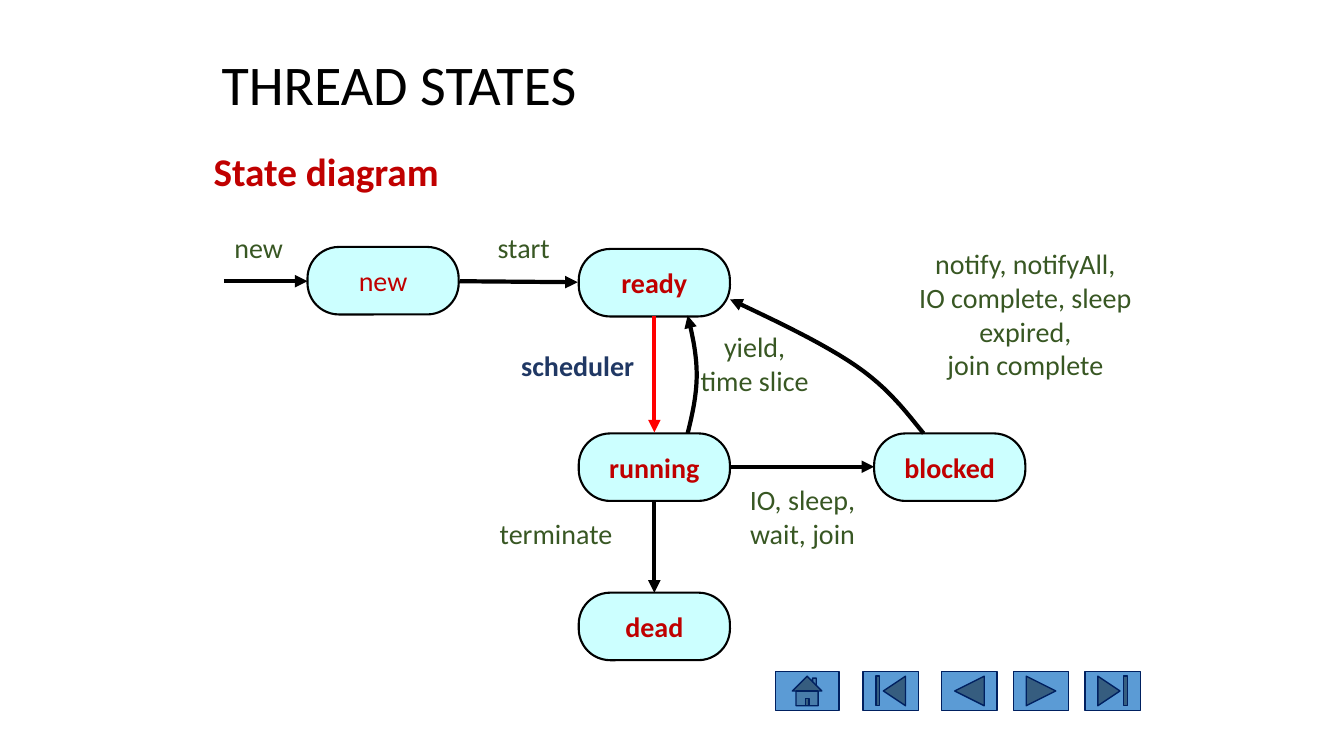
from pptx import Presentation
from pptx.dml.color import RGBColor
from pptx.enum.shapes import MSO_CONNECTOR, MSO_SHAPE
from pptx.enum.text import MSO_ANCHOR, PP_ALIGN
from pptx.oxml.ns import qn
from pptx.util import Inches, Pt
from lxml import etree

STRAIGHT = MSO_CONNECTOR.STRAIGHT
ROUND = MSO_SHAPE.ROUNDED_RECTANGLE
MIDDLE, TOP = MSO_ANCHOR.MIDDLE, MSO_ANCHOR.TOP
CENTER, LEFT = PP_ALIGN.CENTER, PP_ALIGN.LEFT
FONT = "Calibri"

COLORS = {
    "black": "000000", "red": "FF0000", "state": "C00000", "label": "385723",
    "navy": "203864", "fill": "CCFFFF", "button": "5B9BD5", "edge": "002060",
}

# Content: headings (text, box, size, color, bold, anchor)
HEADS = [
    ("THREAD STATES", (2.1, 0.42, 9, 0.9), 40, "black", False, MIDDLE),
    ("State diagram", (2.02, 1.47, 9.13, 0.6), 28, "state", True, TOP),
]

# States (text, left, top, bold)
STATE_W, STATE_H = 1.5, 0.67
STATES = [
    ("new", 3.05, 2.45, False),
    ("ready", 5.74, 2.47, True),
    ("running", 5.74, 4.3, True),
    ("blocked", 8.67, 4.3, True),
    ("dead", 5.74, 5.88, True),
]

# Straight arrows (from, to, color)
ARROWS = [
    ((2.22, 2.79), (3.05, 2.79), "black"),
    ((4.56, 2.79), (5.73, 2.8), "black"),
    ((6.49, 3.14), (6.49, 4.29), "red"),
    ((7.24, 4.63), (8.67, 4.63), "black"),
    ((6.49, 4.97), (6.49, 5.88), "black"),
]

# Curved arrows: start, then two control points and an end per piece
CURVES = [
    [(6.82, 4.3), (6.87, 4.1), (6.91, 3.91), (6.91, 3.72),
     (6.91, 3.52), (6.87, 3.33), (6.82, 3.13)],
    [(9.16, 4.3), (8.98, 4.08), (8.81, 3.85), (8.49, 3.63),
     (8.17, 3.41), (7.71, 3.19), (7.24, 2.97)],
]
STEPS = 12

# Arrow labels (text, box, color, bold, wrap)
LABELS = [
    ("new", (2.22, 2.24, 0.69, 0.44), "label", False, False),
    ("start", (4.83, 2.24, 0.73, 0.44), "label", False, False),
    ("scheduler", (5.06, 3.41, 1.34, 0.44), "navy", True, False),
    ("terminate", (4.85, 5.08, 1.33, 0.44), "label", False, False),
    ("IO, sleep,\nwait, join", (7.33, 4.74, 1.26, 0.77), "label", False, False),
    ("yield,\ntime slice", (6.82, 3.22, 1.33, 0.77), "label", False, True),
    ("notify, notifyAll,\nIO complete, sleep expired,\njoin complete",
     (8.95, 2.4, 2.44, 1.43), "label", False, True),
]

# Navigation buttons (shape, left, width)
BUTTONS = [
    (MSO_SHAPE.ACTION_BUTTON_HOME, 7.69, 0.63),
    (MSO_SHAPE.ACTION_BUTTON_BEGINNING, 8.56, 0.55),
    (MSO_SHAPE.ACTION_BUTTON_BACK_OR_PREVIOUS, 9.34, 0.55),
    (MSO_SHAPE.ACTION_BUTTON_FORWARD_OR_NEXT, 10.05, 0.55),
    (MSO_SHAPE.ACTION_BUTTON_END, 10.76, 0.55),
]


def color(name):
    return RGBColor.from_string(COLORS[name])


def write(shape, text, size, tint, bold, align=CENTER, anchor=MIDDLE,
          wrap=False, space=1.0):
    frame = shape.text_frame
    frame.text = text
    frame.word_wrap = wrap
    frame.vertical_anchor = anchor
    for para in frame.paragraphs:
        para.alignment = align
        para.line_spacing = space
        font = para.runs[0].font
        font.name, font.size, font.bold = FONT, Pt(size), bold
        font.color.rgb = color(tint)


def add_box(kind, box, fill, edge, width):
    shape = slide.shapes.add_shape(kind, *map(Inches, box))
    shape.shadow.inherit = False
    shape.fill.solid()
    shape.fill.fore_color.rgb = color(fill)
    shape.line.color.rgb = color(edge)
    shape.line.width = Pt(width)
    return shape


def style_arrow(shape, tint):
    shape.line.color.rgb = color(tint)
    shape.line.width = Pt(3)
    props = shape.line._get_or_add_ln()
    etree.SubElement(props, qn("a:tailEnd"), type="triangle")


def trace(points):
    path = []
    for i in range(0, len(points) - 1, 3):
        a, b, c, d = points[i:i + 4]
        for step in range(1, STEPS + 1):
            t = step / STEPS
            u = 1 - t
            path.append(tuple(
                Inches(u**3 * p + 3 * u * u * t * q + 3 * u * t * t * r + t**3 * s)
                for p, q, r, s in zip(a, b, c, d)))
    return path


prs = Presentation()
prs.slide_width, prs.slide_height = Inches(13.33), Inches(7.5)
slide = prs.slides.add_slide(prs.slide_layouts[6])

# Headings
for text, box, size, tint, bold, anchor in HEADS:
    head = slide.shapes.add_textbox(*map(Inches, box))
    write(head, text, size, tint, bold, LEFT, anchor, True, 0.9)

# States
for text, left, top, bold in STATES:
    state = add_box(ROUND, (left, top, STATE_W, STATE_H), "fill", "black", 1.5)
    state.adjustments[0] = 0.466
    write(state, text, 20, "state", bold)

# Straight arrows
for start, end, tint in ARROWS:
    arrow = slide.shapes.add_connector(STRAIGHT, *map(Inches, start + end))
    style_arrow(arrow, tint)
    etree.SubElement(arrow._element.spPr, qn("a:effectLst"))

# Curved arrows
for points in CURVES:
    pen = slide.shapes.build_freeform(*map(Inches, points[0]))
    pen.add_line_segments(trace(points), close=False)
    curve = pen.convert_to_shape()
    curve.shadow.inherit = False
    curve.fill.background()
    style_arrow(curve, "black")

# Labels
for text, box, tint, bold, wrap in LABELS:
    label = slide.shapes.add_textbox(*map(Inches, box))
    write(label, text, 20, tint, bold, anchor=TOP, wrap=wrap)

# Navigation buttons
for kind, left, width in BUTTONS:
    add_box(kind, (left, 6.66, width, 0.39), "button", "edge", 1)

prs.save("out.pptx")
